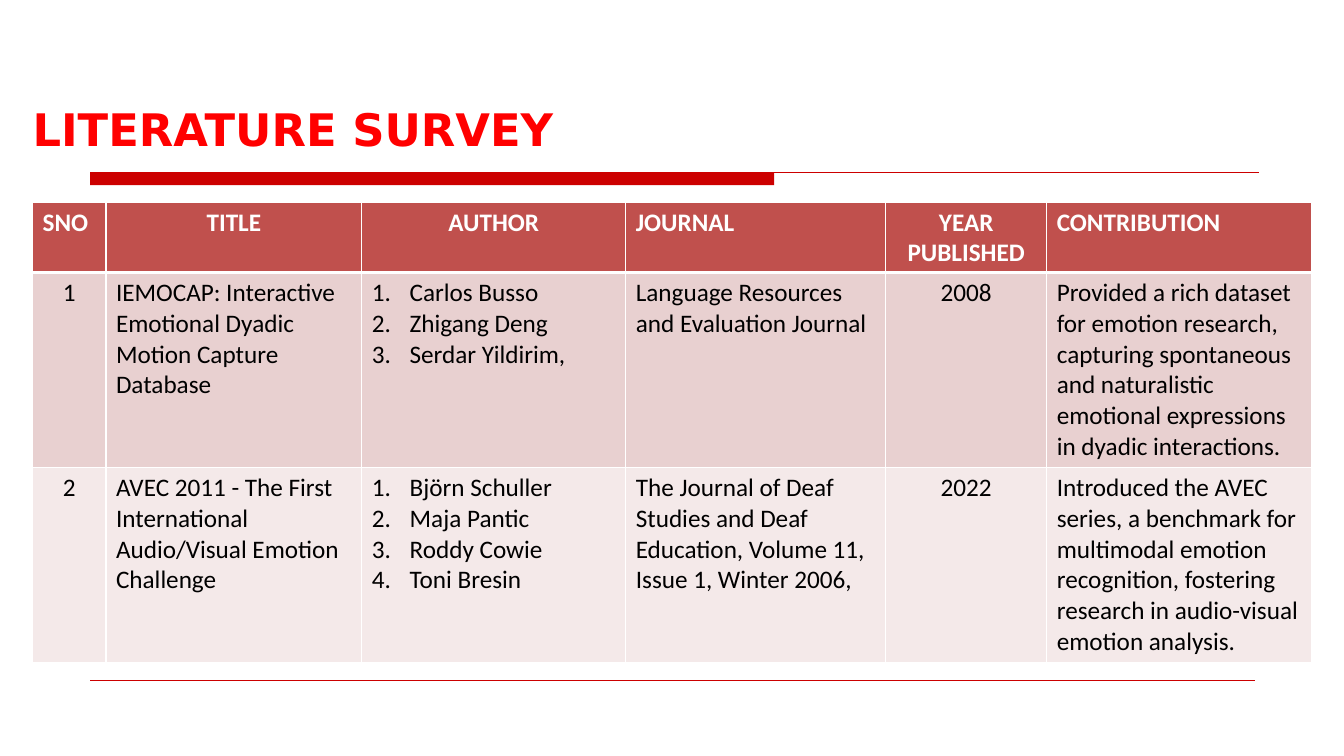
"""Build the literature survey slide."""
import pptx
import pptx.dml.color
import pptx.enum.shapes
import pptx.enum.text
import pptx.oxml
import pptx.oxml.ns
import pptx.util

Cm = pptx.util.Cm
Pt = pptx.util.Pt
RGBColor = pptx.dml.color.RGBColor
Align = pptx.enum.text.PP_ALIGN

RULE_RED = RGBColor(0xCC, 0x00, 0x00)
TITLE_RED = RGBColor(0xFF, 0x00, 0x00)
HEADER_FILL = RGBColor(0xC0, 0x50, 0x4D)
BAND_FILLS = RGBColor(0xE8, 0xD0, 0xD0), RGBColor(0xF4, 0xE9, 0xE9)
WHITE = RGBColor(0xFF, 0xFF, 0xFF)
BLACK = RGBColor(0x00, 0x00, 0x00)

HEADINGS = ["SNO", "TITLE", "AUTHOR", "JOURNAL", "YEAR PUBLISHED", "CONTRIBUTION"]
PAPERS = [
    ["1", "IEMOCAP: Interactive Emotional Dyadic Motion Capture Database",
     ["Carlos Busso", "Zhigang Deng", "Serdar Yildirim,"],
     "Language Resources and Evaluation Journal", "2008",
     "Provided a rich dataset for emotion research, capturing spontaneous and "
     "naturalistic emotional expressions in dyadic interactions."],
    ["2", "AVEC 2011 - The First International Audio/Visual Emotion Challenge",
     ["Björn Schuller", "Maja Pantic", "Roddy Cowie", "Toni Bresin"],
     "The Journal of Deaf Studies and Deaf Education, Volume 11, Issue 1, Winter 2006,",
     "2022",
     "Introduced the AVEC series, a benchmark for multimodal emotion recognition, "
     "fostering research in audio-visual emotion analysis."],
]
COLUMN_WIDTHS = [1.85, 6.45, 6.65, 6.55, 4.06, 6.68]
ROW_HEIGHTS = [1.77, 4.91, 4.91]
HEADING_CENTRED = {1, 2, 4}
PAPER_CENTRED = {0, 4}


class SurveySlide:
    """Hold the style and the current slide."""

    font = "Calibri"
    title_font = "DejaVu Sans"
    size = Pt(18)
    title_size = Pt(32)

    def __init__(self, deck):
        self.slide = deck.slides.add_slide(deck.slide_layouts[5])

    def title(self, text, left, top, width, height):
        title = self.slide.shapes.title
        title.left, title.top, title.width, title.height = map(Cm, (left, top, width, height))
        frame = title.text_frame
        frame.text = text
        frame.margin_left = frame.margin_right = frame.margin_top = frame.margin_bottom = 0
        frame.vertical_anchor = pptx.enum.text.MSO_ANCHOR.TOP
        frame.auto_size = pptx.enum.text.MSO_AUTO_SIZE.SHAPE_TO_FIT_TEXT
        heading = frame.paragraphs[0]
        heading.alignment = Align.LEFT
        self.style(heading, self.title_font, self.title_size, TITLE_RED, True)

    def style(self, paragraph, name, size, color, bold):
        font = paragraph.font
        font.name, font.size, font.bold = name, size, bold
        font.color.rgb = color

    def bar(self, left, top, width, height):
        bar = self.slide.shapes.add_shape(
            pptx.enum.shapes.MSO_SHAPE.RECTANGLE, *map(Cm, (left, top, width, height)))
        bar.shadow.inherit = False
        bar.fill.solid()
        bar.fill.fore_color.rgb = RULE_RED
        bar.line.fill.background()

    def rule(self, left, top, width):
        rule = self.slide.shapes.add_connector(
            pptx.enum.shapes.MSO_CONNECTOR.STRAIGHT,
            Cm(left), Cm(top), Cm(left + width), Cm(top))
        rule.line.color.rgb = RULE_RED
        rule.line.width = Pt(0.75)
        properties = rule.element.find(pptx.oxml.ns.qn("p:spPr"))
        properties.append(pptx.oxml.parse_xml(
            f'<a:effectLst {pptx.oxml.ns.nsdecls("a")}/>'))

    def table(self, left, top):
        table = self.slide.shapes.add_table(
            len(ROW_HEIGHTS), len(COLUMN_WIDTHS), Cm(left), Cm(top),
            Cm(sum(COLUMN_WIDTHS)), Cm(sum(ROW_HEIGHTS))).table
        for column, width in zip(table.columns, COLUMN_WIDTHS):
            column.width = Cm(width)
        for row, height in zip(table.rows, ROW_HEIGHTS):
            row.height = Cm(height)
        for r, entries in enumerate([HEADINGS, *PAPERS]):
            is_heading = r == 0
            fill = HEADER_FILL if is_heading else BAND_FILLS[(r - 1) % 2]
            centred = HEADING_CENTRED if is_heading else PAPER_CENTRED
            for c, entry in enumerate(entries):
                cell = table.cell(r, c)
                cell.fill.solid()
                cell.fill.fore_color.rgb = fill
                self.borders(cell, 3 if r == 1 else 1, 3 if is_heading else 1)
                numbered = isinstance(entry, list)
                cell.text = "\n".join(entry) if numbered else entry
                for paragraph in cell.text_frame.paragraphs:
                    paragraph.alignment = Align.CENTER if c in centred else Align.LEFT
                    self.style(paragraph, self.font, self.size,
                               WHITE if is_heading else BLACK, is_heading)
                    if numbered:
                        self.number(paragraph)

    def borders(self, cell, top, bottom):
        properties = cell._tc.get_or_add_tcPr()
        sides = {"L": 1, "R": 1, "T": top, "B": bottom}
        for position, (side, width) in enumerate(sides.items()):
            properties.insert(position, pptx.oxml.parse_xml(
                f'<a:ln{side} {pptx.oxml.ns.nsdecls("a")} w="{Pt(width)}">'
                f'<a:solidFill><a:srgbClr val="{WHITE}"/></a:solidFill></a:ln{side}>'))

    def number(self, paragraph):
        properties = paragraph._p.get_or_add_pPr()
        indent = Cm(0.95)
        properties.set("marL", str(indent))
        properties.set("indent", str(-indent))
        properties.insert(0, pptx.oxml.parse_xml(
            f'<a:buAutoNum {pptx.oxml.ns.nsdecls("a")} type="arabicPeriod"/>'))


def main():
    deck = pptx.Presentation()
    deck.slide_width, deck.slide_height = Cm(33.87), Cm(19.05)
    survey = SurveySlide(deck)
    survey.bar(2.27, 4.35, 17.24, 0.32)
    survey.rule(2.27, 4.35, 29.46)
    survey.rule(2.27, 17.15, 29.36)
    survey.title("LITERATURE SURVEY", 0.82, 2.57, 29.21, 1.37)
    survey.table(0.82, 5.09)
    deck.save("out.pptx")


if __name__ == "__main__":
    main()
